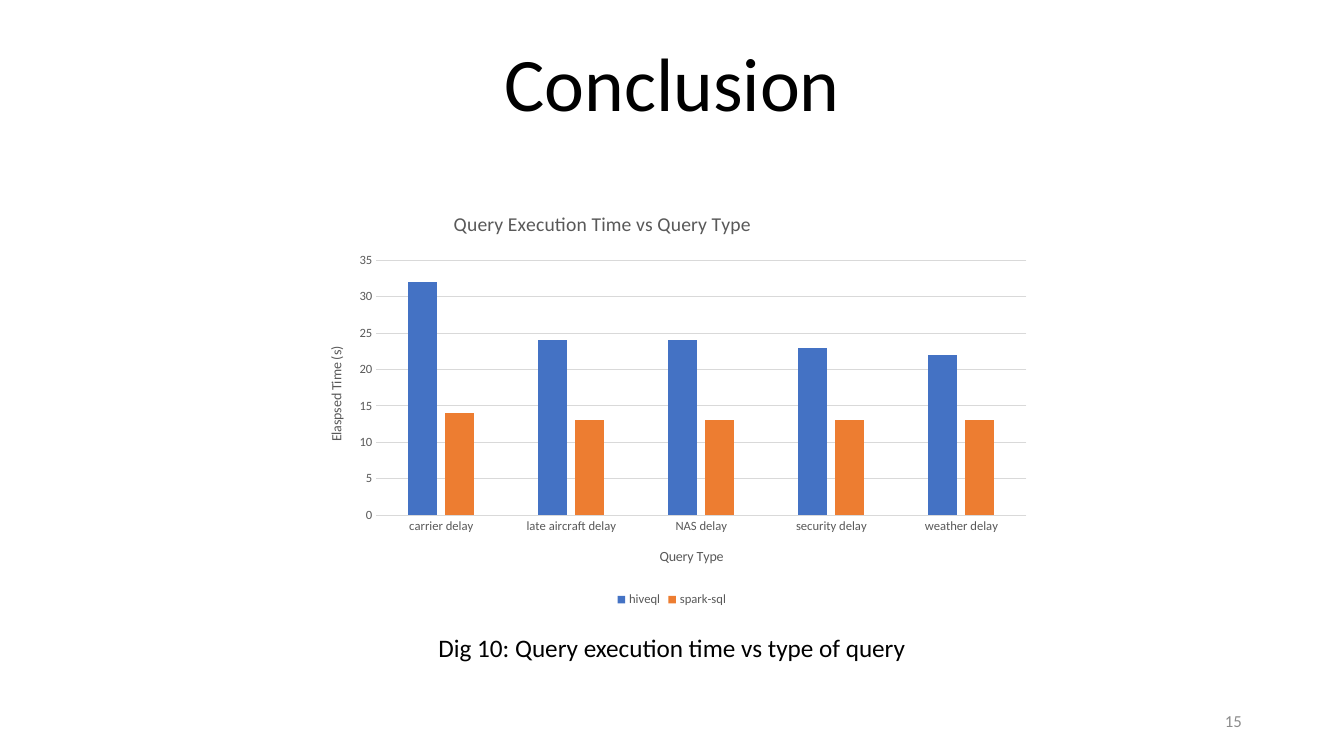
import pptx
import pptx.util
import pptx.dml.color
import pptx.chart.data
import pptx.enum.chart
import pptx.enum.text
import pptx.oxml

Cm = pptx.util.Cm
Pt = pptx.util.Pt
Align = pptx.enum.text.PP_ALIGN
Anchor = pptx.enum.text.MSO_ANCHOR
Chart = pptx.enum.chart

FONT = "Calibri"
COLORS = {"ink": "000000", "label": "595959", "grid": "D9D9D9",
          "page": "8C8C8C", "hive": "4472C4", "spark": "ED7D31"}
TEXTS = [
    ("Conclusion", (4.24, 0.86, 25.4, 2.49),
     dict(size=54, align=Align.CENTER, anchor=Anchor.BOTTOM, space=0.9)),
    ("Dig 10: Query execution time vs type of query", (10.8, 15.8, 12.45, 1.02),
     dict(size=18, wrap=False)),
    ("15", (23.93, 17.65, 7.62, 1.02),
     dict(size=12, color="page", align=Align.RIGHT, anchor=Anchor.MIDDLE)),
]
AREA = (7.62, 4.88, 18.62, 10.52)
CATS = ["carrier delay", "late aircraft delay", "NAS delay",
        "security delay", "weather delay"]
SERIES = [("hiveql", "hive", (32, 24, 24, 23, 22)),
          ("spark-sql", "spark", (14, 13, 13, 13, 13))]
TITLES = {"chart": ("Query Execution Time vs Query Type", 14, (0.2, 0.03)),
          "cat": ("Query Type", 10, (0.48, 0.84)),
          "val": ("Elaspsed Time (s)", 10, (0.03, 0.36))}
PLOT = (0.1, 0.16, 0.88, 0.61)


def rgb(name):
    return pptx.dml.color.RGBColor.from_string(COLORS[name])


def style(font, size, color):
    font.name = FONT
    font.size = Pt(size)
    font.bold = False
    font.color.rgb = rgb(color)


def write(frame, text, size=18, color="ink", align=None, anchor=None,
          space=None, wrap=True):
    frame.word_wrap = wrap
    if anchor is not None:
        frame.vertical_anchor = anchor
    para = frame.paragraphs[0]
    para.alignment = align
    para.line_spacing = space
    run = para.add_run()
    run.text = text
    style(run.font, size, color)


def place(node, spots, inner=False):
    ns = pptx.oxml.ns.nsdecls("c")
    for old in node.findall(pptx.oxml.ns.qn("c:layout")):
        node.remove(old)
    parts = '<c:layoutTarget val="inner"/>' if inner else ""
    parts += '<c:xMode val="edge"/><c:yMode val="edge"/>'
    parts += "".join(f'<c:{key} val="{val}"/>' for key, val in zip("xywh", spots))
    layout = pptx.oxml.parse_xml(
        f"<c:layout {ns}><c:manualLayout>{parts}</c:manualLayout></c:layout>")
    node.insert(len(node.findall(pptx.oxml.ns.qn("c:tx"))), layout)


def label(title, key):
    text, size, spots = TITLES[key]
    write(title.text_frame, text, size=size, color="label")
    place(title.element if hasattr(title, "element") else title._element, spots)


def rule(line):
    line.color.rgb = rgb("grid")
    line.width = Pt(0.75)


def draw(slide):
    data = pptx.chart.data.CategoryChartData()
    data.categories = CATS
    for name, _, vals in SERIES:
        data.add_series(name, vals)
    kind = Chart.XL_CHART_TYPE.COLUMN_CLUSTERED
    chart = slide.shapes.add_chart(kind, *map(Cm, AREA), data).chart
    style(chart.font, 10, "ink")
    chart.has_title = True
    label(chart.chart_title, "chart")

    plot = chart.plots[0]
    plot.gap_width = 219
    plot.overlap = -27
    plot.vary_by_categories = False
    for bars, (_, color, _) in zip(plot.series, SERIES):
        bars.format.fill.solid()
        bars.format.fill.fore_color.rgb = rgb(color)

    for axis, key in ((chart.category_axis, "cat"), (chart.value_axis, "val")):
        axis.has_title = True
        label(axis.axis_title, key)
        axis.major_tick_mark = Chart.XL_TICK_MARK.NONE
        axis.minor_tick_mark = Chart.XL_TICK_MARK.NONE
        style(axis.tick_labels.font, 9, "label")
    rule(chart.category_axis.format.line)
    axis = chart.value_axis
    axis.minimum_scale, axis.maximum_scale, axis.major_unit = 0, 35, 5
    axis.format.line.fill.background()
    axis.has_major_gridlines = True
    rule(axis.major_gridlines.format.line)

    chart.has_legend = True
    chart.legend.position = Chart.XL_LEGEND_POSITION.BOTTOM
    chart.legend.include_in_layout = False
    style(chart.legend.font, 9, "label")
    area = chart.element if hasattr(chart, "element") else chart._chartSpace
    place(area.find(".//" + pptx.oxml.ns.qn("c:plotArea")), PLOT, inner=True)


def main():
    deck = pptx.Presentation()
    deck.slide_width = Cm(33.87)
    deck.slide_height = Cm(19.05)
    slide = deck.slides.add_slide(deck.slide_layouts[6])
    draw(slide)
    for text, box, form in TEXTS:
        write(slide.shapes.add_textbox(*map(Cm, box)).text_frame, text, **form)
    deck.save("out.pptx")


if __name__ == "__main__":
    main()
